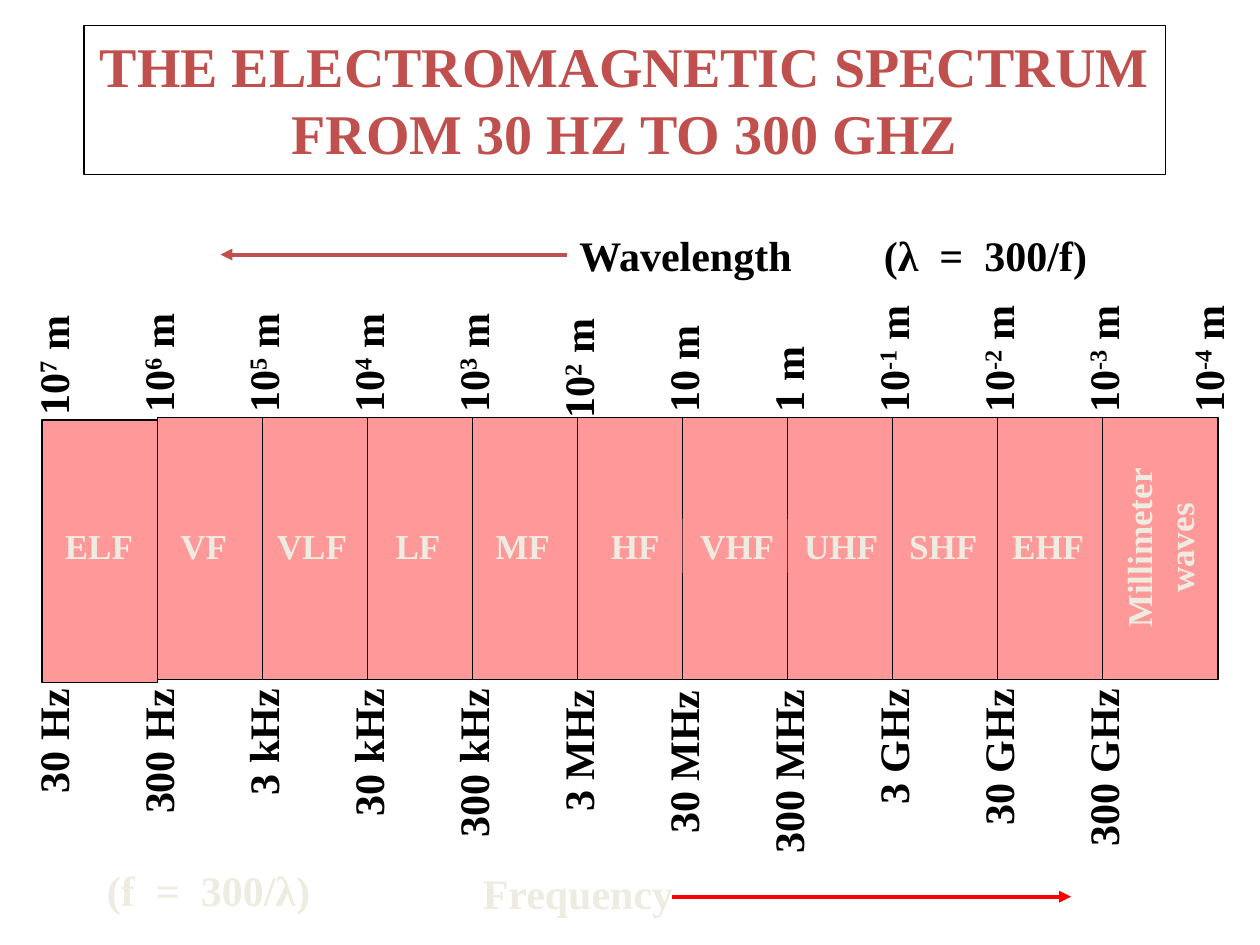
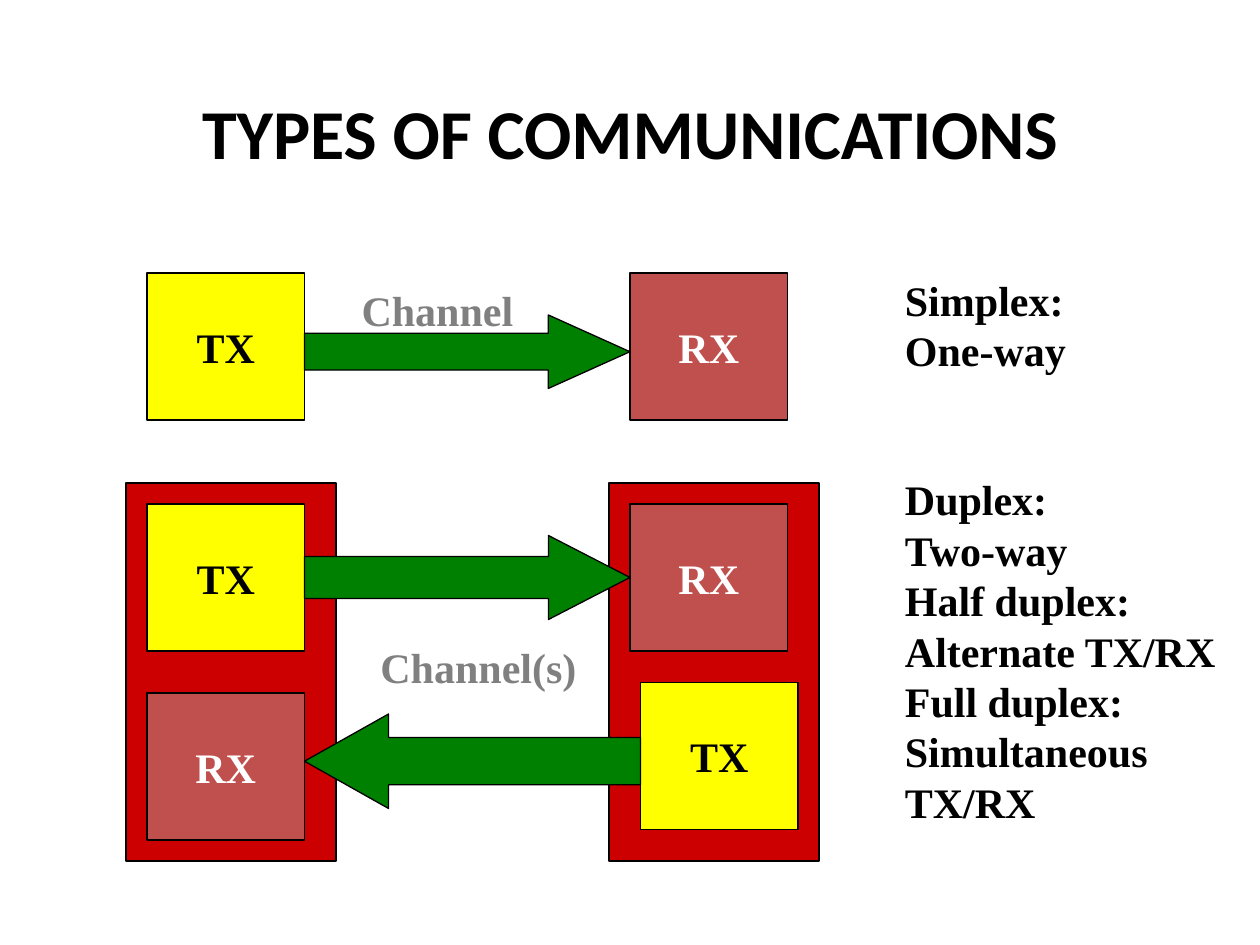
from lxml import etree
from pptx import Presentation
from pptx.dml.color import RGBColor
from pptx.enum.shapes import MSO_CONNECTOR, MSO_SHAPE
from pptx.enum.text import MSO_ANCHOR, PP_ALIGN
from pptx.oxml.ns import qn
from pptx.util import Inches, Pt

RECT, RIGHT_ARROW, LEFT_ARROW = MSO_SHAPE.RECTANGLE, MSO_SHAPE.RIGHT_ARROW, MSO_SHAPE.LEFT_ARROW
STRAIGHT = MSO_CONNECTOR.STRAIGHT
TOP, MIDDLE = MSO_ANCHOR.TOP, MSO_ANCHOR.MIDDLE
LEFT, CENTER = PP_ALIGN.LEFT, PP_ALIGN.CENTER

BLACK = RGBColor(0x00, 0x00, 0x00)
WHITE = RGBColor(0xFF, 0xFF, 0xFF)
CREAM = RGBColor(0xEE, 0xEC, 0xE1)
GRAY = RGBColor(0x80, 0x80, 0x80)
PINK = RGBColor(0xFF, 0x99, 0x99)
BRICK = RGBColor(0xC0, 0x50, 0x4D)
RED = RGBColor(0xFF, 0x00, 0x00)
DARK_RED = RGBColor(0xCC, 0x00, 0x00)
YELLOW = RGBColor(0xFF, 0xFF, 0x00)
GREEN = RGBColor(0x00, 0x80, 0x00)

SERIF, SANS = "Times New Roman", "Calibri"

prs = Presentation()
prs.slide_width, prs.slide_height = Inches(10), Inches(7.5)
UNIT = prs.slide_width // 120
BAND = 10
LINE_H = 6
blank = prs.slide_layouts[6]


def block(slide, preset, x, y, w, h, fill=None, outline=BLACK):
    shape = slide.shapes.add_shape(preset, *[round(v * UNIT) for v in (x, y, w, h)])
    shape.shadow.inherit = False
    if fill is None:
        shape.fill.background()
    else:
        shape.fill.solid()
        shape.fill.fore_color.rgb = fill
    if outline is None:
        shape.line.fill.background()
    else:
        shape.line.color.rgb = outline
        shape.line.width = Pt(0.75)
    return shape


def write(target, lines, color=BLACK, size=24, align=LEFT, anchor=TOP, font=SERIF, wrap=False):
    frame = target.text_frame
    frame.word_wrap = wrap
    frame.vertical_anchor = anchor
    for n, line in enumerate(lines):
        paragraph = frame.add_paragraph() if n else frame.paragraphs[0]
        paragraph.alignment = align
        paragraph.font.name = font
        paragraph.font.size = Pt(size)
        paragraph.font.bold = True
        paragraph.font.color.rgb = color
        for k, part in enumerate(line.split("^")):
            run = paragraph.add_run()
            run.text = part
            if k % 2:
                run._r.get_or_add_rPr().set("baseline", "30000")


spectrum = prs.slides.add_slide(blank)

block(spectrum, RECT, 4, 40, 11, 25, PINK)
for i in range(1, 11):
    block(spectrum, RECT, i * BAND + 5, 39.75, 11 if i == 10 else BAND, 25, PINK)

wavelengths = [
    ("10^7^ m", 12.5), ("10^6^ m", 12.5), ("10^5^ m", 12.5), ("10^4^ m", 12.5),
    ("10^3^ m", 12.5), ("10^2^ m", 12.5), ("10 m", 11.2), ("1 m", 9.2),
    ("10^-1^ m", 13.4), ("10^-2^ m", 13.4), ("10^-3^ m", 13.4), ("10^-4^ m", 13.4),
]
frequencies = [
    ("30 Hz", 12.7), ("300 Hz", 14.7), ("3 kHz", 12.9), ("30 kHz", 14.9),
    ("300 kHz", 16.9), ("3 MHz", 14.5), ("30 MHz", 16.6), ("300 MHz", 18.5),
    ("3 GHz", 13.8), ("30 GHz", 15.8), ("300 GHz", 17.8),
]
lowered = {0: 0.25, 5: 0.5}
scale_marks = [
    (i, text, length, 40.5 - length / 2 + lowered.get(i, 0))
    for i, (text, length) in enumerate(wavelengths)
] + [
    (i, text, length, 64 + length / 2)
    for i, (text, length) in enumerate(frequencies)
]
for i, text, length, middle in scale_marks:
    box = (i * BAND + 5 - length / 2, middle - LINE_H / 2, length, LINE_H)
    mark = spectrum.shapes.add_textbox(*[round(v * UNIT) for v in box])
    mark.rotation = 270
    write(mark, [text])

heading = block(spectrum, RECT, 8, 2.4, 103, 14.2)
write(heading, ["THE ELECTROMAGNETIC SPECTRUM FROM 30 HZ TO 300 GHZ"],
      BRICK, 32, CENTER, wrap=True)

band_names = [
    ("ELF", 5, 8.9), ("VF", 16, 6.8), ("VLF", 25.2, 9.1), ("LF", 36.5, 6.7),
    ("MF", 46, 7.6), ("HF", 57, 8), ("VHF", 65.5, 9.5), ("UHF", 75.4, 9.5),
    ("SHF", 85.4, 8.9), ("EHF", 95.2, 9.2),
]
for name, x, width in band_names:
    band_name = block(spectrum, RECT, x, 49.4, width, 5.2, PINK, None)
    write(band_name, [name], CREAM, 20)
millimeter = block(spectrum, RECT, 100.1, 47.6, 20.6, 9.2, PINK, None)
millimeter.rotation = 270
write(millimeter, ["Millimeter", "waves"], CREAM, 20, CENTER, wrap=True)

for start, end, y, color in [(64, 102, 85.4, RED), (54, 21, 24.25, BRICK)]:
    direction = spectrum.shapes.add_connector(
        STRAIGHT, *[round(v * UNIT) for v in (start, y, end, y)])
    direction.line.color.rgb = color
    direction.line.width = Pt(2.25)
    etree.SubElement(direction.line._get_or_add_ln(), qn("a:tailEnd"), type="triangle")
    etree.SubElement(direction._element.spPr, qn("a:effectLst"))

duplex = prs.slides.add_slide(blank)

for x in (58, 12):
    block(duplex, RECT, x, 46, 20, 36, DARK_RED)

stations = [
    ("TX", 14, 26), ("RX", 60, 26), ("TX", 14, 48),
    ("TX", 61, 65), ("RX", 60, 48), ("RX", 14, 66),
]
for role, x, y in stations:
    fill, color = (YELLOW, BLACK) if role == "TX" else (BRICK, WHITE)
    station = block(duplex, RECT, x, y, 15, 14, fill)
    write(station, [role], color, align=CENTER, anchor=MIDDLE)

channels = [
    (RIGHT_ARROW, 30, 31, 7, 1.11),
    (RIGHT_ARROW, 51, 31, 8, 0.97),
    (LEFT_ARROW, 68, 32, 9, 0.89),
]
for preset, y, width, height, head in channels:
    channel = block(duplex, preset, 29, y, width, height, GREEN)
    channel.adjustments[0] = 0.5
    channel.adjustments[1] = head

captions = [
    (spectrum, 44.8, 82, 20.6, ["Frequency"], CREAM),
    (spectrum, 9, 81.7, 22, ["(f  =  300/λ)"], CREAM),
    (spectrum, 54, 21.25, 22.8, ["Wavelength"], BLACK),
    (spectrum, 83, 21.25, 22, ["(λ  =  300/f)"], BLACK),
    (duplex, 85, 25.55, 17.9, ["Simplex:", "One-way"], BLACK),
    (duplex, 85, 44.55, 32.3, ["Duplex:", "Two-way", "Half duplex:", "Alternate TX/RX",
                               "Full duplex:", "Simultaneous", "TX/RX"], BLACK),
    (duplex, 33.25, 26.5, 16.9, ["Channel"], GRAY),
    (duplex, 35.05, 60.55, 21.1, ["Channel(s)"], GRAY),
]
for slide, x, y, width, lines, color in captions:
    box = (x, y, width, 1.2 + 4.85 * len(lines))
    caption = slide.shapes.add_textbox(*[round(v * UNIT) for v in box])
    write(caption, lines, color)

title = duplex.shapes.add_textbox(*[round(v * UNIT) for v in (9, 5, 102, 15)])
write(title, ["TYPES OF COMMUNICATIONS"], size=40, align=CENTER, anchor=MIDDLE,
      font=SANS, wrap=True)

prs.save("out.pptx")
